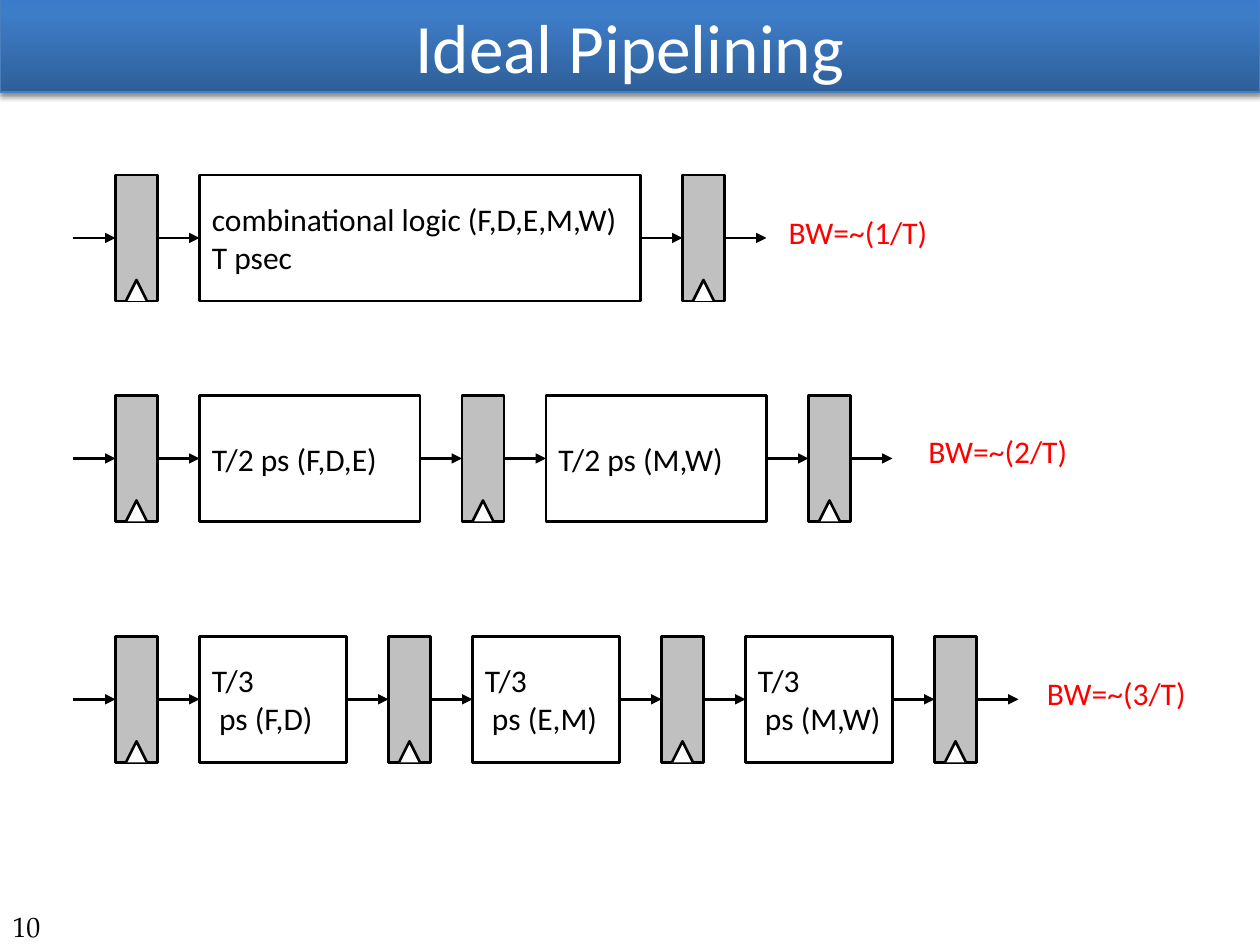
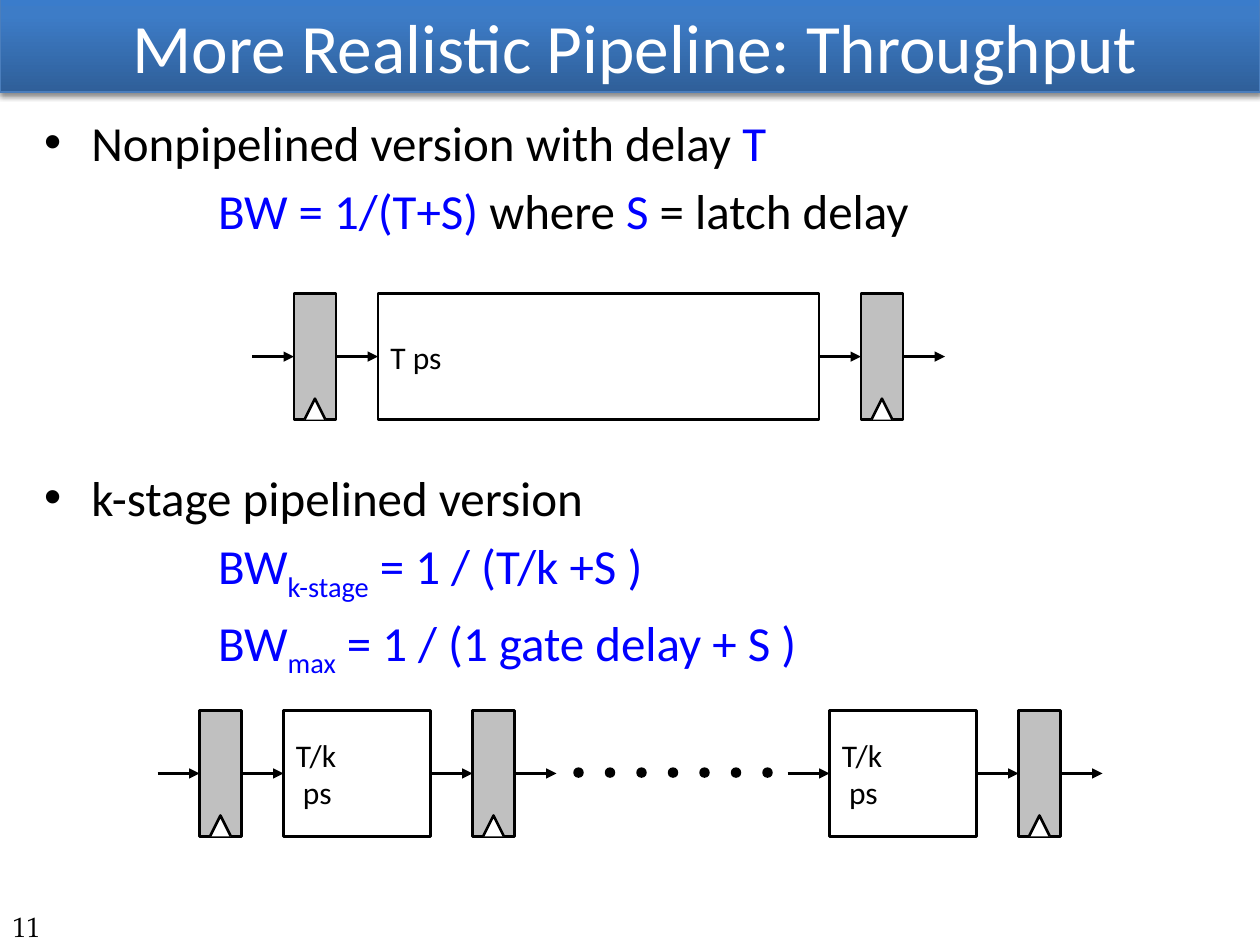
from dataclasses import dataclass

from pptx import Presentation
from pptx.dml.color import RGBColor
from pptx.enum.shapes import MSO_CONNECTOR, MSO_SHAPE
from pptx.enum.text import MSO_ANCHOR as Anchor, MSO_AUTO_SIZE as AutoSize, PP_ALIGN as Align
from pptx.oxml import parse_xml
from pptx.oxml.ns import nsdecls, qn
from pptx.util import Pt


@dataclass(frozen=True)
class Theme:
    white: str = "FFFFFF"
    black: str = "000000"
    red: str = "FF0000"
    blue: str = "0000FF"
    register_gray: str = "C0C0C0"
    band_line: str = "4B7EBC"
    rule: str = "4F81BD"
    band_stops: tuple = ((0, "2F5F99"), (80, "3D7CC7"), (100, "3A7CCB"))
    font: str = "Calibri"
    number_font: str = "TeX Gyre Pagella"
    title_size: float = 39.6
    body_size: float = 28
    label_size: float = 18
    number_size: float = 16
    line_width: float = 1.5


THEME = Theme()
SLIDE_WIDTH, SLIDE_HEIGHT = 720, 540
TITLE_ONLY_LAYOUT, TITLE_AND_BODY_LAYOUT = 5, 1

WIRE = 24
REGISTER_WIDTH = 24
STAGE_HEIGHT = 72
CLOCK_SIZE = 12
DOT_SIZE, DOT_PITCH, DOT_COUNT = 6, 18, 7

BULLET_INDENT = 27
FORMULA_INDENT = 99.4
LINE_GAP = 5.6
DIAGRAM_GAP = 130


def rgb(color):
    return RGBColor.from_string(color)


def place(shape, left, top, width, height):
    shape.left, shape.top = Pt(left), Pt(top)
    shape.width, shape.height = Pt(width), Pt(height)


def format_run(run, size, color, font=THEME.font):
    run.font.name = font
    run.font.size = Pt(size)
    run.font.color.rgb = rgb(color)


def paint(shape, fill, line=THEME.black):
    """Flat fill without shadow; a line of None hides the outline."""
    shape.shadow.inherit = False
    shape.fill.solid()
    shape.fill.fore_color.rgb = rgb(fill)
    if line is None:
        shape.line.fill.background()
    else:
        shape.line.color.rgb = rgb(line)
        shape.line.width = Pt(THEME.line_width)


def add_line(shapes, start, end, color, width):
    connector = shapes.add_connector(MSO_CONNECTOR.STRAIGHT, *map(Pt, start + end))
    connector.line.color.rgb = rgb(color)
    connector.line.width = Pt(width)
    connector.element.spPr.append(parse_xml(f'<a:effectLst {nsdecls("a")}/>'))
    return connector


def add_wire(shapes, left, middle):
    wire = add_line(shapes, (left, middle), (left + WIRE, middle),
                    THEME.black, THEME.line_width)
    wire.get_or_add_ln().append(parse_xml(f'<a:tailEnd {nsdecls("a")} type="triangle"/>'))


def add_soft_shadow(shape):
    """Needs an effect list that is already on the shape."""
    shadow = parse_xml(
        f'<a:outerShdw {nsdecls("a")} blurRad="{Pt(3.1)}" dist="{Pt(1.8)}" '
        'dir="5400000" rotWithShape="0"><a:srgbClr val="000000">'
        '<a:alpha val="35000"/></a:srgbClr></a:outerShdw>')
    shape.element.spPr.find(qn("a:effectLst")).append(shadow)


def add_title_band(slide):
    """Put the rule and the gradient band behind the title."""
    rule = add_line(slide.shapes, (0, 49), (SLIDE_WIDTH, 49), THEME.rule, 3)
    band = slide.shapes.add_shape(MSO_SHAPE.RECTANGLE, 0, Pt(-2), Pt(SLIDE_WIDTH), Pt(54.7))
    stops = "".join(f'<a:gs pos="{position * 1000}"><a:srgbClr val="{color}"/></a:gs>'
                    for position, color in THEME.band_stops)
    band.element.spPr.append(parse_xml(
        f'<a:gradFill {nsdecls("a")} rotWithShape="1"><a:gsLst>{stops}</a:gsLst>'
        '<a:lin ang="16200000" scaled="0"/></a:gradFill>'))
    band.line.color.rgb = rgb(THEME.band_line)
    band.line.width = Pt(0.75)
    band.shadow.inherit = False
    for shape in (rule, band):
        add_soft_shadow(shape)
        slide.shapes.title.element.addprevious(shape.element)


def add_page_number(slide, number):
    box = slide.shapes.add_textbox(0, Pt(519), Pt(228), Pt(21))
    frame = box.text_frame
    frame.word_wrap = True
    frame.vertical_anchor = Anchor.MIDDLE
    frame.text = str(number)
    format_run(frame.paragraphs[0].runs[0], THEME.number_size, THEME.black, THEME.number_font)


def add_slide(presentation, layout, title_text, number, title_left=0):
    slide = presentation.slides.add_slide(presentation.slide_layouts[layout])
    add_title_band(slide)
    title = slide.shapes.title
    place(title, title_left, 3.6, SLIDE_WIDTH, 45.4)
    frame = title.text_frame
    frame.text = title_text
    frame.auto_size = AutoSize.NONE
    frame.vertical_anchor = Anchor.MIDDLE
    frame.paragraphs[0].alignment = Align.CENTER
    format_run(frame.paragraphs[0].runs[0], THEME.title_size, THEME.white)
    add_page_number(slide, number)
    return slide


def add_register(slide, left, top):
    """Draw a clocked register with its wires; return the right end."""
    shapes = slide.shapes.add_group_shape().shapes
    body_left = left + WIRE
    body = shapes.add_shape(MSO_SHAPE.RECTANGLE, Pt(body_left), Pt(top),
                            Pt(REGISTER_WIDTH), Pt(STAGE_HEIGHT))
    paint(body, THEME.register_gray)

    clock_left = body_left + (REGISTER_WIDTH - CLOCK_SIZE) / 2
    bottom = top + STAGE_HEIGHT
    builder = shapes.build_freeform(Pt(clock_left), Pt(bottom))
    builder.add_line_segments(
        [(Pt(clock_left + CLOCK_SIZE / 2), Pt(bottom - CLOCK_SIZE)),
         (Pt(clock_left + CLOCK_SIZE), Pt(bottom))], close=False)
    paint(builder.convert_to_shape(), THEME.white)

    output_left = body_left + REGISTER_WIDTH
    for wire_left in (left, output_left):
        add_wire(shapes, wire_left, top + STAGE_HEIGHT / 2)
    return output_left + WIRE


def add_stage(slide, left, top, width, text):
    """Draw a logic block; return its right edge."""
    stage = slide.shapes.add_shape(MSO_SHAPE.RECTANGLE, Pt(left), Pt(top),
                                   Pt(width), Pt(STAGE_HEIGHT))
    paint(stage, THEME.white)
    frame = stage.text_frame
    frame.word_wrap = False
    frame.vertical_anchor = Anchor.MIDDLE
    frame.text = text
    for paragraph in frame.paragraphs:
        paragraph.alignment = Align.LEFT
        format_run(paragraph.runs[0], THEME.label_size, THEME.black)
    return left + width


def add_pipeline(slide, left, top, stage_width, stages):
    """Alternate registers and stages, with a register at both ends."""
    right = add_register(slide, left, top)
    for text in stages:
        right = add_stage(slide, right, top, stage_width, text)
        right = add_register(slide, right, top)
    return right


def add_bandwidth_label(slide, left, top, text):
    frame = slide.shapes.add_textbox(Pt(left), Pt(top), Pt(80), Pt(21.6)).text_frame
    frame.margin_left = frame.margin_right = frame.margin_top = frame.margin_bottom = 0
    frame.word_wrap = False
    frame.auto_size = AutoSize.SHAPE_TO_FIT_TEXT
    frame.text = text
    format_run(frame.paragraphs[0].runs[0], THEME.label_size, THEME.red)


def add_ellipsis(slide, left, top):
    for index in range(DOT_COUNT):
        dot = slide.shapes.add_shape(MSO_SHAPE.OVAL, Pt(left + index * DOT_PITCH), Pt(top),
                                     Pt(DOT_SIZE), Pt(DOT_SIZE))
        paint(dot, THEME.black, line=None)


def set_indent(paragraph, is_bullet):
    properties = paragraph._p.get_or_add_pPr()
    margin, hanging = (BULLET_INDENT, -BULLET_INDENT) if is_bullet else (FORMULA_INDENT, 0)
    properties.set("marL", str(Pt(margin)))
    properties.set("indent", str(Pt(hanging)))
    bullet = '<a:buChar {} char="•"/>' if is_bullet else "<a:buNone {}/>"
    properties.append(parse_xml(bullet.format(nsdecls("a"))))


def fill_body(body, lines):
    """Each line is (is_bullet, space before, runs); a run is (text, color, is_subscript)."""
    frame = body.text_frame
    frame.auto_size = AutoSize.NONE
    for index, (is_bullet, space_before, runs) in enumerate(lines):
        paragraph = frame.add_paragraph() if index else frame.paragraphs[0]
        paragraph.space_before = Pt(space_before)
        set_indent(paragraph, is_bullet)
        for text, color, is_subscript in runs:
            run = paragraph.add_run()
            run.text = text
            format_run(run, THEME.body_size, color)
            if is_subscript:
                run._r.get_or_add_rPr().set("baseline", "-25000")


def build_ideal_pipelining(presentation):
    slide = add_slide(presentation, TITLE_ONLY_LAYOUT, "Ideal Pipelining", 10)
    rows = [
        (100, 252, ["combinational logic (F,D,E,M,W)\nT psec"], (450.7, 121.7, "BW=~(1/T)")),
        (226, 126, ["T/2 ps (F,D,E)", "T/2 ps (M,W)"], (530.6, 247, "BW=~(2/T)")),
        (363.6, 84, ["T/3\n ps (F,D)", "T/3\n ps (E,M)", "T/3\n ps (M,W)"],
         (598.3, 385.2, "BW=~(3/T)")),
    ]
    for top, stage_width, stages, label in rows:
        add_pipeline(slide, 42, top, stage_width, stages)
        add_bandwidth_label(slide, *label)


def build_realistic_pipeline(presentation):
    slide = add_slide(presentation, TITLE_AND_BODY_LAYOUT,
                      "More Realistic Pipeline: Throughput", 11, title_left=3)
    body = slide.placeholders[1]
    place(body, 18, 60.5, 678, 409)
    black, blue = THEME.black, THEME.blue
    fill_body(body, [
        (True, 0, [("Nonpipelined version with delay ", black, False), ("T", blue, False)]),
        (False, LINE_GAP, [("BW = 1/(T+S) ", blue, False), ("where ", black, False),
                           ("S ", blue, False), ("= latch delay", black, False)]),
        (True, DIAGRAM_GAP, [("k-stage pipelined version", black, False)]),
        (False, LINE_GAP, [("BW", blue, False), ("k-stage", blue, True),
                           (" = 1 / (T/k +S )", blue, False)]),
        (False, LINE_GAP, [("BW", blue, False), ("max", blue, True),
                           (" = 1 / (1 gate delay + S )", blue, False)]),
    ])
    add_pipeline(slide, 144, 167.8, 252, ["T ps"])

    top, stage_width, stage_text = 406, 84, "T/k\n ps"
    add_pipeline(slide, 90, top, stage_width, [stage_text])
    add_ellipsis(slide, 327.6, 438.5)
    add_wire(slide.shapes, 450, top + STAGE_HEIGHT / 2)
    right = add_stage(slide, 450 + WIRE, top, stage_width, stage_text)
    add_register(slide, right, top)


def main():
    presentation = Presentation()
    presentation.slide_width = Pt(SLIDE_WIDTH)
    presentation.slide_height = Pt(SLIDE_HEIGHT)
    build_ideal_pipelining(presentation)
    build_realistic_pipeline(presentation)
    presentation.save("out.pptx")


if __name__ == "__main__":
    main()
